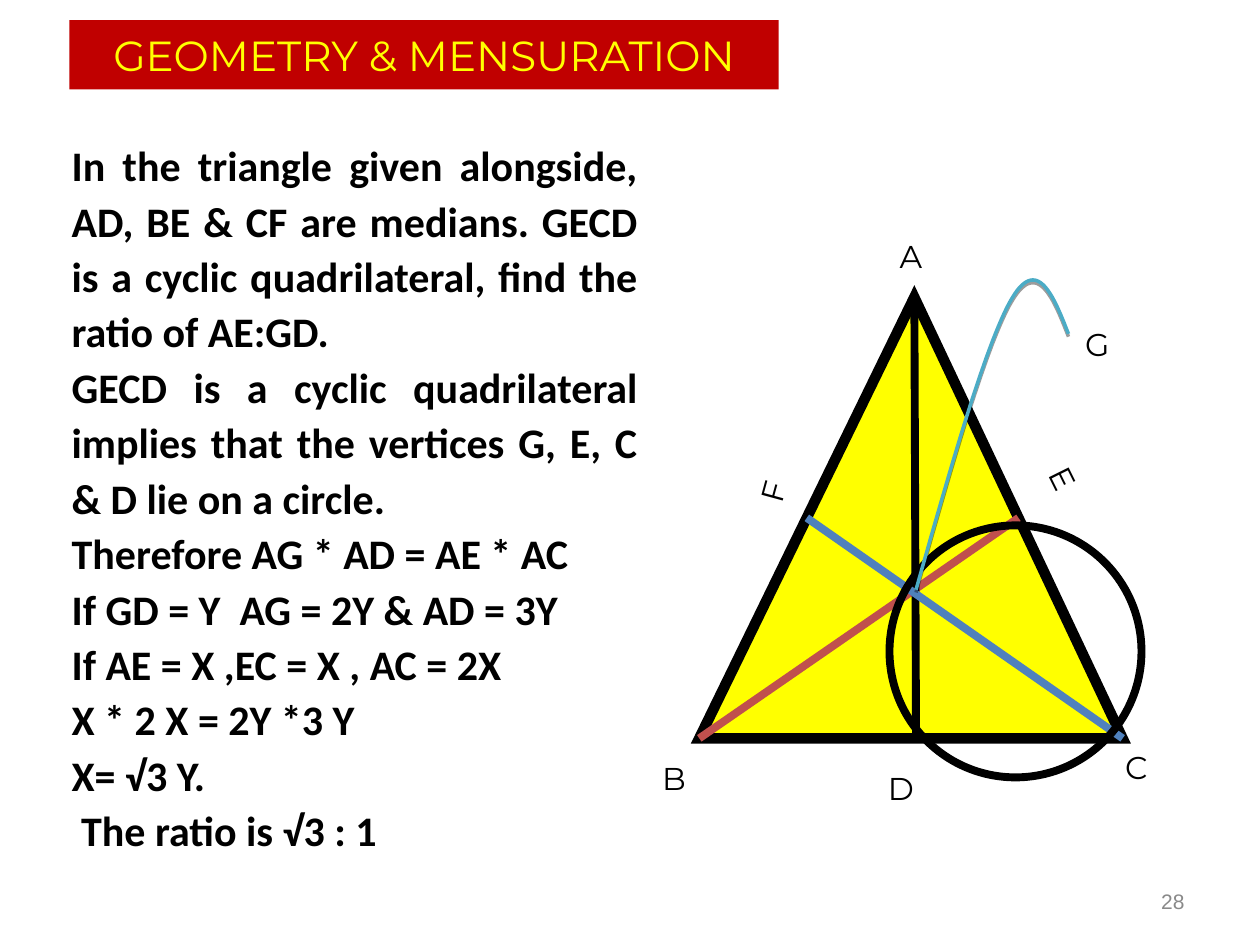
from dataclasses import dataclass

from lxml import etree
from pptx import Presentation
from pptx import util as u
from pptx.dml import color
from pptx.enum import shapes, text
from pptx.oxml import ns


@dataclass(frozen=True)
class Theme:
    red: str = "C00000"
    yellow: str = "FFFF00"
    ink: str = "000000"
    median_b: str = "C0504D"
    median_c: str = "4F81BD"
    pointer: str = "4BACC6"
    grey: str = "898989"
    display: str = "Montserrat"
    body: str = "Calibri"
    plain: str = "Arial"
    large: int = 24
    label: int = 18
    small: int = 12
    outline: float = 6
    stroke: float = 4.5
    thin: float = 2


THEME = Theme()

SOLUTION = [
    "In the triangle given alongside, AD, BE & CF are medians. "
    "GECD is a cyclic quadrilateral, find the ratio of AE:GD.",
    "GECD is a cyclic quadrilateral implies that the vertices G, E, C & D lie on a circle.",
    "Therefore AG * AD = AE * AC",
    "If GD = Y  AG = 2Y & AD = 3Y",
    "If AE = X ,EC = X , AC = 2X",
    "X * 2 X = 2Y *3 Y",
    "X= √3 Y.",
    " The ratio is √3 : 1",
]

POINT_LABELS = [
    ("A", 1.25, -0.64, 0),
    ("B", -0.63, 3.5, 0),
    ("C", 3.04, 3.42, 0),
    ("E", 2.46, 1.13, 63.6),
    ("G", 2.73, 0.06, 0),
    ("F", 0.15, 1.23, 285.2),
    ("D", 1.17, 3.58, 0),
]

POINTER_CURVES = [
    [(1.72, 2.32), (2.0, 1.33), (2.28, 0.35), (2.48, 0.01)],
    [(2.48, 0.01), (2.68, -0.33), (2.81, -0.02), (2.93, 0.29)],
]


def inches(*lengths):
    return [u.Inches(length) for length in lengths]


def rgb(value):
    return color.RGBColor.from_string(value)


def write(frame, lines, font, size, ink, align, anchor=text.MSO_ANCHOR.MIDDLE,
          bold=False, spacing=None):
    frame.word_wrap = True
    frame.vertical_anchor = anchor
    for index, line in enumerate(lines):
        paragraph = frame.paragraphs[0] if index == 0 else frame.add_paragraph()
        paragraph.alignment = align
        paragraph.line_spacing = spacing
        run = paragraph.add_run()
        run.text = line
        run.font.name = font
        run.font.size = u.Pt(size)
        run.font.bold = bold
        run.font.color.rgb = rgb(ink)


def paint(shape, fill=None, line=None, width=0):
    shape.shadow.inherit = False
    if fill:
        shape.fill.solid()
        shape.fill.fore_color.rgb = rgb(fill)
    else:
        shape.fill.background()
    if line:
        shape.line.color.rgb = rgb(line)
        shape.line.width = u.Pt(width)
    else:
        shape.line.fill.background()


def add_title(slide, box):
    banner = slide.shapes.add_shape(shapes.MSO_SHAPE.RECTANGLE, *inches(*box))
    paint(banner, THEME.red)
    write(banner.text_frame, ["GEOMETRY & MENSURATION"], THEME.display,
          THEME.large, THEME.yellow, text.PP_ALIGN.CENTER)


def add_solution(slide, box):
    solution = slide.shapes.add_textbox(*inches(*box))
    write(solution.text_frame, SOLUTION, THEME.body, THEME.large, THEME.ink,
          text.PP_ALIGN.JUSTIFY, text.MSO_ANCHOR.TOP, True, 1.1)


def add_page_number(slide, box):
    number = slide.shapes.add_textbox(*inches(*box))
    write(number.text_frame, ["28"], THEME.plain, THEME.small, THEME.grey,
          text.PP_ALIGN.RIGHT)


def add_segment(slide, start, end, ink):
    segment = slide.shapes.add_connector(
        shapes.MSO_CONNECTOR.STRAIGHT, *inches(*start, *end))
    segment.line.color.rgb = rgb(ink)
    segment.line.width = u.Pt(THEME.stroke)
    etree.SubElement(segment._element.spPr, ns.qn("a:effectLst"))


def bezier(controls, t):
    weights = ((1 - t) ** 3, 3 * t * (1 - t) ** 2, 3 * t ** 2 * (1 - t), t ** 3)
    return tuple(sum(w * point[axis] for w, point in zip(weights, controls))
                 for axis in (0, 1))


def add_pointer(slide, left, top):
    steps = 30
    points = [bezier(curve, step / steps)
              for curve in POINTER_CURVES for step in range(steps + 1)]
    track = [inches(left + x, top + y) for x, y in points]
    builder = slide.shapes.build_freeform(*track[0])
    builder.add_line_segments(track[1:], close=False)
    pointer = builder.convert_to_shape()
    paint(pointer, line=THEME.pointer, width=THEME.thin)
    effects = pointer._element.spPr.find(ns.qn("a:effectLst"))
    shadow = etree.SubElement(effects, ns.qn("a:outerShdw"), dist=str(u.Pt(1.6)),
                              dir="5400000", rotWithShape="0")
    tint = etree.SubElement(shadow, ns.qn("a:srgbClr"), val=THEME.ink)
    etree.SubElement(tint, ns.qn("a:alpha"), val="38000")


def add_figure(slide, box):
    left, top, width, height = box
    apex = 0.508

    def at(x, y):
        return left + x * width, top + y * height

    triangle = slide.shapes.add_shape(
        shapes.MSO_SHAPE.ISOSCELES_TRIANGLE, *inches(*box))
    triangle.adjustments[0] = apex
    paint(triangle, THEME.yellow, THEME.ink, THEME.outline)
    etree.SubElement(triangle.line._get_or_add_ln(), ns.qn("a:miter"), lim="800000")

    add_segment(slide, at(0, 1), at((1 + apex) / 2, 0.5), THEME.median_b)
    add_segment(slide, at(0.512, 1), at(apex, 0), THEME.ink)
    add_segment(slide, at(apex / 2, 0.5), at(1, 1), THEME.median_c)

    circle = slide.shapes.add_shape(
        shapes.MSO_SHAPE.OVAL, *inches(left + 1.51, top + 1.81, 2, 2))
    paint(circle, line=THEME.ink, width=THEME.stroke)
    add_pointer(slide, left, top)

    for name, x, y, angle in POINT_LABELS:
        label = slide.shapes.add_textbox(*inches(left + x, top + y, 0.86, 0.62))
        label.rotation = angle
        write(label.text_frame, [name], THEME.display, THEME.label, THEME.ink,
              text.PP_ALIGN.CENTER)


def main():
    deck = Presentation()
    deck.slide_width, deck.slide_height = inches(10, 7.5)
    slide = deck.slides.add_slide(deck.slide_layouts[6])
    add_solution(slide, (0.47, 1.02, 4.69, 6.25))
    add_page_number(slide, (7.17, 6.95, 2.33, 0.4))
    add_figure(slide, (5.55, 2.36, 3.36, 3.5))
    add_title(slide, (0.55, 0.16, 5.63, 0.55))
    deck.save("out.pptx")


if __name__ == "__main__":
    main()
